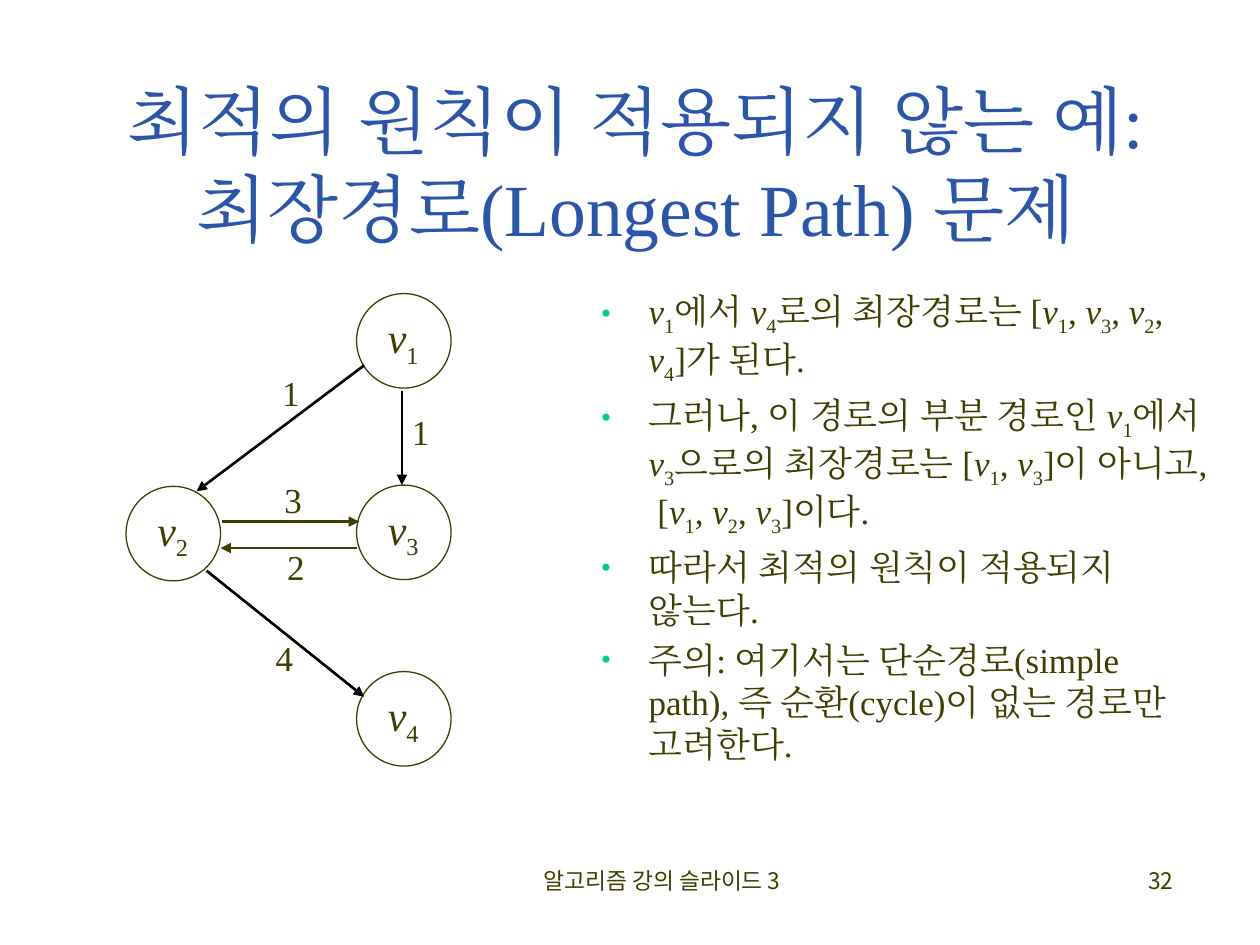
from lxml.etree import SubElement
from pptx import Presentation
from pptx.dml.color import RGBColor
from pptx.enum.shapes import MSO_CONNECTOR, MSO_SHAPE
from pptx.enum.text import MSO_ANCHOR, MSO_AUTO_SIZE, PP_ALIGN
from pptx.oxml.ns import qn
from pptx.util import Inches, Pt

SERIF, SANS = "Times New Roman", "Noto Sans CJK KR"
OLIVE, BLUE, GREEN, BLACK = "3F3E00", "2A55AA", "00CC99", "000000"

TITLE = "최적의 원칙이 적용되지 않는 예:\v최장경로(Longest Path) 문제"
# A "v" followed by a digit is a vertex: italic letter, subscript digit.
BULLETS = [
    "v1에서 v4로의 최장경로는 [v1, v3, v2, v4]가 된다.",
    "그러나, 이 경로의 부분 경로인 v1에서 v3으로의 최장경로는 [v1, v3]이 아니고, [v1, v2, v3]이다.",
    "따라서 최적의 원칙이 적용되지 않는다.",
    "주의: 여기서는 단순경로(simple path), 즉 순환(cycle)이 없는 경로만 고려한다.",
]
FOOTERS = [
    ("알고리즘 강의 슬라이드 3", (3.67, 6.83, 3.17, 0.5), PP_ALIGN.CENTER),
    ("32", (7.33, 6.83, 2.08, 0.5), PP_ALIGN.RIGHT),
]
NODE_SIZE = 0.75
NODES = {"v1": (2.83, 2.33), "v2": (1, 3.86), "v3": (2.83, 3.85), "v4": (2.83, 5.33)}
# start, end, colour, weight, position of the weight
EDGES = [
    ((2.89, 2.9), (1.56, 3.9), BLACK, "1", (2.14, 2.94)),
    ((3.19, 3.1), (3.19, 3.85), BLACK, "1", (3.17, 3.25)),
    ((1.76, 4.14), (2.85, 4.14), OLIVE, "3", (2.16, 3.79)),
    ((2.83, 4.35), (1.75, 4.35), OLIVE, "2", (2.18, 4.32)),
    ((1.64, 4.53), (2.89, 5.53), BLACK, "4", (2.09, 5.04)),
]


def rgb(color):
    return RGBColor.from_string(color)


def split_vertices(text):
    """Return (text, kind) pieces, kind being None, "vertex" or "index"."""
    first, *rest = text.split("v")
    pieces = [(first, None)]
    for part in rest:
        pieces += [("v", "vertex"), (part[0], "index"), (part[1:], None)]
    return [piece for piece in pieces if piece[0]]


def add_vertex_runs(p, text, size):
    for piece, kind in split_vertices(text):
        r = p.add_run()
        r.text = piece
        style_font(r.font, size)
        r.font.italic = kind == "vertex"
        if kind == "index":
            r.font._element.set("baseline", "-25000")


def style_font(font, size, color=OLIVE, name=SERIF):
    font.size, font.name = Pt(size), name
    font.color.rgb = rgb(color)
    SubElement(font._element, qn("a:ea"), typeface=name)


def add_box(slide, box, wrap=True):
    tf = slide.shapes.add_textbox(*map(Inches, box)).text_frame
    tf.word_wrap = wrap
    return tf


def add_label(slide, text, box, size):
    tf = add_box(slide, box, wrap=False)
    tf.auto_size = MSO_AUTO_SIZE.SHAPE_TO_FIT_TEXT
    tf.margin_right = 0  # leaves room for the subscript on the same line
    p = tf.paragraphs[0]
    p.line_spacing = 0.9
    add_vertex_runs(p, text, size)


def add_bullet(p):
    pPr = p._p.get_or_add_pPr()
    pPr.set("marL", str(Inches(0.38)))
    pPr.set("indent", str(-Inches(0.38)))
    color = SubElement(pPr, qn("a:buClr"))
    SubElement(color, qn("a:srgbClr"), val=GREEN)
    SubElement(pPr, qn("a:buSzPct"), val="85000")
    SubElement(pPr, qn("a:buFont"), typeface=SERIF)
    SubElement(pPr, qn("a:buChar"), char="•")


def add_node(slide, name, x, y):
    sp = slide.shapes.add_shape(
        MSO_SHAPE.OVAL, Inches(x), Inches(y), Inches(NODE_SIZE), Inches(NODE_SIZE))
    sp.shadow.inherit = False
    sp.fill.background()
    sp.line.color.rgb = rgb(OLIVE)
    sp.line.width = Pt(0.75)
    add_label(slide, name, (x + 0.15, y + 0.1, 0.44, 0.51), 24)


def add_arrow(slide, start, end, color):
    line = slide.shapes.add_connector(
        MSO_CONNECTOR.STRAIGHT, *map(Inches, start + end))
    line.line.color.rgb = rgb(color)
    line.line.width = Pt(1.5)
    SubElement(line.line._get_or_add_ln(), qn("a:tailEnd"), type="triangle")
    SubElement(line._element.spPr, qn("a:effectLst"))


def add_plain(slide, text, box, size, align, color=OLIVE, name=SERIF):
    tf = add_box(slide, box)
    p = tf.paragraphs[0]
    p.text, p.alignment = text, align
    for r in p.runs:
        style_font(r.font, size, color, name)
    return tf


def main():
    prs = Presentation()
    prs.slide_width, prs.slide_height = Inches(10), Inches(7.5)
    slide = prs.slides.add_slide(prs.slide_layouts[6])

    for text, box, align in FOOTERS:
        add_plain(slide, text, box, 13, align, name=SANS)
    title = add_plain(slide, TITLE, (0.42, 0.67, 9.25, 1.25), 42, PP_ALIGN.CENTER, BLUE)
    title.vertical_anchor = MSO_ANCHOR.MIDDLE

    body = add_box(slide, (4.67, 2.25, 5, 4))
    for i, text in enumerate(BULLETS):
        p = body.add_paragraph() if i else body.paragraphs[0]
        add_bullet(p)
        if i:
            p.space_before = Pt(5)
        add_vertex_runs(p, text, 20)

    for name, (x, y) in NODES.items():
        add_node(slide, name, x, y)
    for start, end, color, weight, (x, y) in EDGES:
        add_arrow(slide, start, end, color)
        add_label(slide, weight, (x, y, 0.34, 0.4), 20)

    prs.save("out.pptx")


if __name__ == "__main__":
    main()
